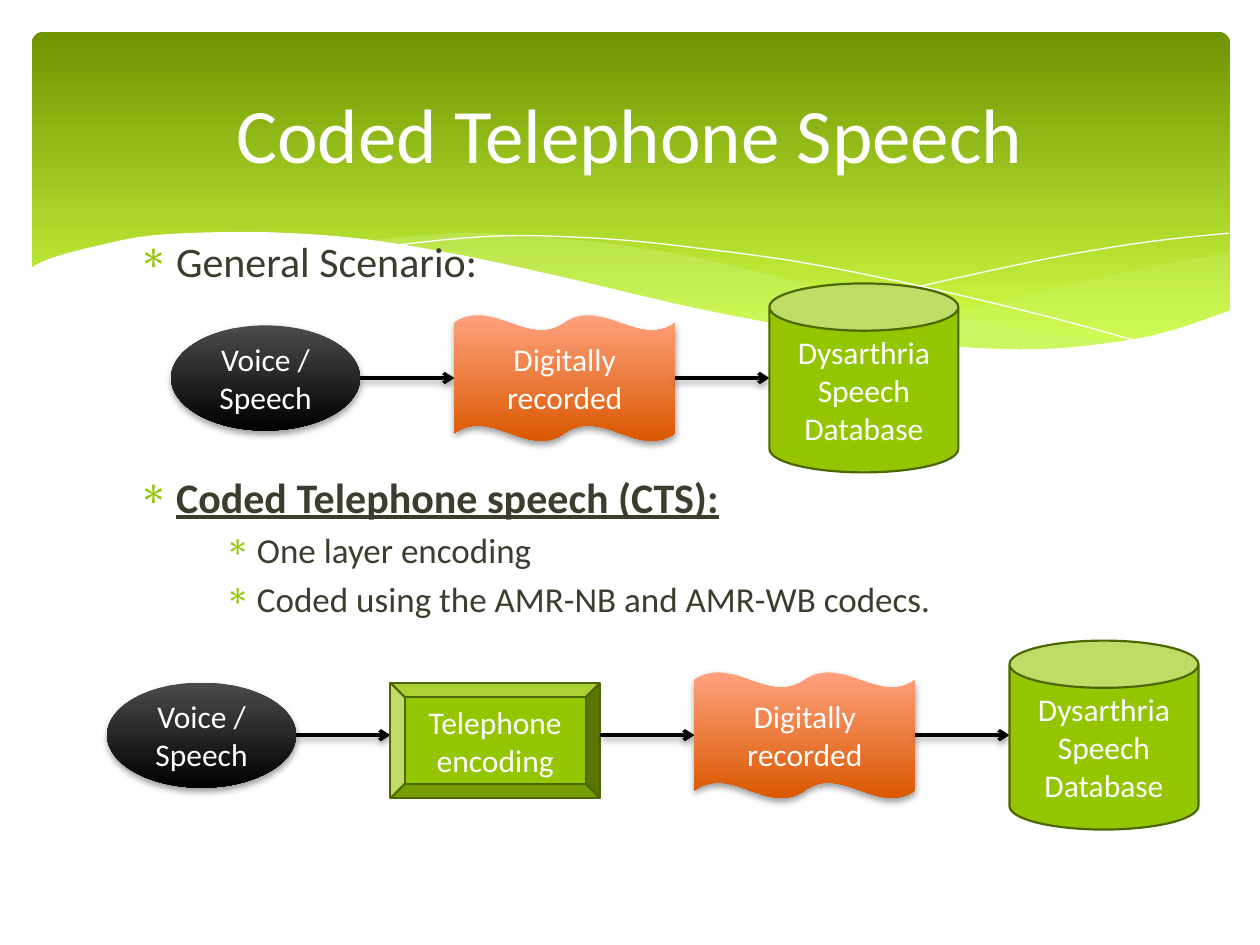
from lxml import etree
from pptx import Presentation
from pptx import util as u
from pptx.dml.color import RGBColor
from pptx.enum import shapes, text
from pptx.oxml.ns import qn

COLORS = {
    "white": "FFFFFF", "black": "000000", "body": "3E3D2D",
    "green": "94C600", "dark green": "4D6700", "wave": "CAF278",
    "band top": "6F9400", "band bottom": "D0FF44",
    "voice top": "4B4B4B", "record top": "FFA17E", "record bottom": "DA5800",
}
FONT = "Calibri"
GAP = 1.9

# Curve anchors, in cm from the top left of the header band
RIGHT_WAVE = (
    [(24.16, 4.45), (22.76, 4.7), (21.23, 5.03), (19.15, 5.51), (16.15, 6.1)],
    [(16.15, 6.1), (17.63, 6.27), (19.2, 6.4), (20.8, 6.4), (22.15, 6.22),
     (23.29, 5.94), (24.16, 5.64)],
)
MIDDLE_WAVE = (
    [(22.05, 6.3), (19.86, 5.97), (17.3, 5.46), (15.34, 5), (13.46, 4.57),
     (11.79, 4.29), (10.03, 4.11), (8.53, 4.06), (6.63, 4.22)],
    [(6.63, 4.22), (8.56, 4.52), (10.77, 5), (12.83, 5.46), (15.06, 5.92),
     (17.37, 6.27), (19.3, 6.43), (20.9, 6.4), (22.05, 6.3)],
)
FALLING_LINE = [(7.21, 4.32), (8.59, 4.17), (9.93, 4.11), (11.79, 4.19), (13.49, 4.37),
                (15.52, 4.65), (17.83, 5.11), (20.47, 5.74), (22.4, 6.27)]
RISING_LINE = [(14.94, 5.89), (16.43, 5.49), (18.36, 5.03), (20.6, 4.55),
               (22.48, 4.24), (24.13, 4.06)]
LOWER_EDGE = [(24.18, 5.61), (22.99, 6.02), (21.89, 6.25), (20.27, 6.4), (18.26, 6.32),
              (15.82, 6.02), (13.46, 5.59), (10.72, 4.95), (8.64, 4.5), (6.78, 4.19),
              (5.21, 4.06), (3.86, 4.04), (2.39, 4.11), (1.3, 4.32), (0.38, 4.57),
              (-0.05, 4.78)]
LOWER_CORNERS = [(-0.05, 7.72), (24.18, 7.72)]

# Kind of step: preset, width, height, drop below the row's axis, fill, shadow, label
STEPS = {
    "voice": (shapes.MSO_SHAPE.OVAL, 3.81, 2.12, 0,
              ("voice top", "black"), True, "Voice /\nSpeech"),
    "encode": (shapes.MSO_SHAPE.BEVEL, 4.23, 2.33, 0.11,
               ("green",), False, "Telephone\nencoding"),
    "record": (shapes.MSO_SHAPE.DOUBLE_WAVE, 4.45, 2.54, 0,
               ("record top", "record bottom"), True, "Digitally recorded"),
    "store": (shapes.MSO_SHAPE.CAN, 3.81, 3.81, 0,
              ("green",), False, "Dysarthria Speech Database"),
}


def rgb(name):
    return RGBColor.from_string(COLORS[name])


def set_fill(shape, names, end=1.0):
    """One colour name fills solid, two make a gradient from top to bottom."""
    if len(names) == 1:
        shape.fill.solid()
        shape.fill.fore_color.rgb = rgb(names[0])
        return
    shape.fill.gradient()
    shape.fill.gradient_angle = 270
    for stop, name, position in zip(shape.fill.gradient_stops, names, (0, end)):
        stop.color.rgb = rgb(name)
        stop.position = position


def set_effects(shape, shadowed):
    """Replace the theme shadow by a soft one below the shape, or by none."""
    effects = etree.SubElement(shape._element.spPr, qn("a:effectLst"))
    if shadowed:
        shadow = etree.SubElement(effects, qn("a:outerShdw"), blurRad="50800",
                                  dist="25400", dir="5400000", rotWithShape="0")
        color = etree.SubElement(shadow, qn("a:srgbClr"), val=COLORS["black"])
        etree.SubElement(color, qn("a:alpha"), val="38000")


def set_font(paragraph, size, color):
    paragraph.font.name = FONT
    paragraph.font.size = u.Pt(size)
    paragraph.font.color.rgb = rgb(color)


def smooth(anchors, steps=5):
    """Points of a Catmull-Rom curve through the anchors."""
    padded = [anchors[0], *anchors, anchors[-1]]
    points = [anchors[0]]
    for a, b, c, d in zip(padded, padded[1:], padded[2:], padded[3:]):
        for step in range(1, steps + 1):
            t = step / steps
            points.append(tuple(
                (2 * q + (r - p) * t + (2 * p - 5 * q + 4 * r - s) * t ** 2
                 + (3 * q - p - 3 * r + s) * t ** 3) / 2
                for p, q, r, s in zip(a, b, c, d)))
    return points


def add_curve(slide, left, top, points, fill=None, alpha=100):
    """A filled outline, or a white hairline where no fill is given."""
    points = [(u.Cm(left + x), u.Cm(top + y)) for x, y in points]
    builder = slide.shapes.build_freeform(*points[0], scale=1.0)
    builder.add_line_segments(points[1:], close=fill is not None)
    shape = builder.convert_to_shape()
    if fill:
        set_fill(shape, (fill,))
        shape.line.fill.background()
        color = shape._element.spPr.find(".//" + qn("a:srgbClr"))
        etree.SubElement(color, qn("a:alpha"), val=str(alpha * 1000))
    else:
        shape.fill.background()
        shape.line.color.rgb = rgb("white")
        shape.line.width = u.Pt(0)
    shape.shadow.inherit = False


def add_header(slide, left, top, width, height):
    band = slide.shapes.add_shape(shapes.MSO_SHAPE.ROUNDED_RECTANGLE, u.Cm(left), u.Cm(top),
                                  u.Cm(width), u.Cm(height))
    band.adjustments[0] = 0.034
    set_fill(band, ("band top", "band bottom"), end=0.9)
    band.line.fill.background()
    band.shadow.inherit = False
    for (upper, lower), alpha in ((RIGHT_WAVE, 29), (MIDDLE_WAVE, 40)):
        add_curve(slide, left, top, smooth(upper) + smooth(lower), "wave", alpha)
    for line in (FALLING_LINE, RISING_LINE):
        add_curve(slide, left, top, smooth(line))
    add_curve(slide, left, top, smooth(LOWER_EDGE) + LOWER_CORNERS, "white")


def add_text_box(slide, left, top, width, height):
    frame = slide.shapes.add_textbox(u.Cm(left), u.Cm(top), u.Cm(width), u.Cm(height)).text_frame
    frame.word_wrap = True
    return frame


def add_title(slide, left, top, width, height, title):
    frame = add_text_box(slide, left, top, width, height)
    frame.vertical_anchor = text.MSO_ANCHOR.MIDDLE
    paragraph = frame.paragraphs[0]
    paragraph.text = title
    paragraph.alignment = text.PP_ALIGN.CENTER
    set_font(paragraph, 44, "white")


def add_bullets(slide, left, top, width, height, items):
    """Items are (words, size, space before, left margin, indent, is heading)."""
    frame = add_text_box(slide, left, top, width, height)
    for index, (words, size, space, margin, indent, heading) in enumerate(items):
        paragraph = frame.add_paragraph() if index else frame.paragraphs[0]
        paragraph.text = words
        paragraph.space_before = u.Pt(space)
        set_font(paragraph, size, "body")
        paragraph.font.bold = paragraph.font.underline = heading
        properties = paragraph._p.get_or_add_pPr()
        properties.set("marL", str(u.Cm(margin)))
        properties.set("indent", str(-u.Cm(indent)))
        bullet = etree.Element(qn("a:buClr"))
        etree.SubElement(bullet, qn("a:srgbClr"), val=COLORS["green"])
        mark = etree.Element(qn("a:buChar"), char="∗")
        properties.find(qn("a:spcBef")).addnext(bullet)
        bullet.addnext(mark)


def add_step(slide, left, axis, kind):
    preset, width, height, drop, fill, shadowed, label = STEPS[kind]
    shape = slide.shapes.add_shape(preset, u.Cm(left), u.Cm(axis + drop - height / 2),
                                   u.Cm(width), u.Cm(height))
    set_fill(shape, fill)
    if shadowed:
        shape.line.fill.background()
    else:
        shape.line.color.rgb = rgb("dark green")
        shape.line.width = u.Pt(1.25)
    set_effects(shape, shadowed)
    shape.text_frame.text = label
    shape.text_frame.vertical_anchor = text.MSO_ANCHOR.MIDDLE
    for paragraph in shape.text_frame.paragraphs:
        paragraph.alignment = text.PP_ALIGN.CENTER
        set_font(paragraph, 18, "white")
    return left + width


def add_arrow(slide, left, axis):
    arrow = slide.shapes.add_connector(shapes.MSO_CONNECTOR.STRAIGHT, u.Cm(left), u.Cm(axis),
                                       u.Cm(left + GAP), u.Cm(axis))
    arrow.line.color.rgb = rgb("black")
    arrow.line.width = u.Pt(2)
    etree.SubElement(arrow.line._get_or_add_ln(), qn("a:tailEnd"), type="arrow")
    set_effects(arrow, True)


def add_flow(slide, left, axis, kinds):
    """A row of steps centred on the axis, joined by arrows of equal length."""
    for index, kind in enumerate(kinds):
        if index:
            add_arrow(slide, left, axis)
            left += GAP
        left = add_step(slide, left, axis, kind)


def main():
    presentation = Presentation()
    presentation.slide_width, presentation.slide_height = u.Cm(25.4), u.Cm(19.05)
    slide = presentation.slides.add_slide(presentation.slide_layouts[6])
    add_header(slide, 0.64, 0.64, 24.16, 6.86)
    add_bullets(slide, 2.54, 4.62, 20.57, 10.67, [
        ("General Scenario:", 24, 4.8, 0.76, 0.76, False),
        ("Coded Telephone speech (CTS):", 24, 106, 0.76, 0.76, True),
        ("One layer encoding", 20, 4, 2.39, 0.64, False),
        ("Coded using the AMR-NB and AMR-WB codecs.", 20, 4, 2.39, 0.64, False),
    ])
    add_title(slide, 1.27, 0.94, 22.86, 3.48, "Coded Telephone Speech")
    add_flow(slide, 3.45, 7.62, ["voice", "record", "store"])
    add_flow(slide, 2.16, 14.82, ["voice", "encode", "record", "store"])
    presentation.save("out.pptx")


if __name__ == "__main__":
    main()
